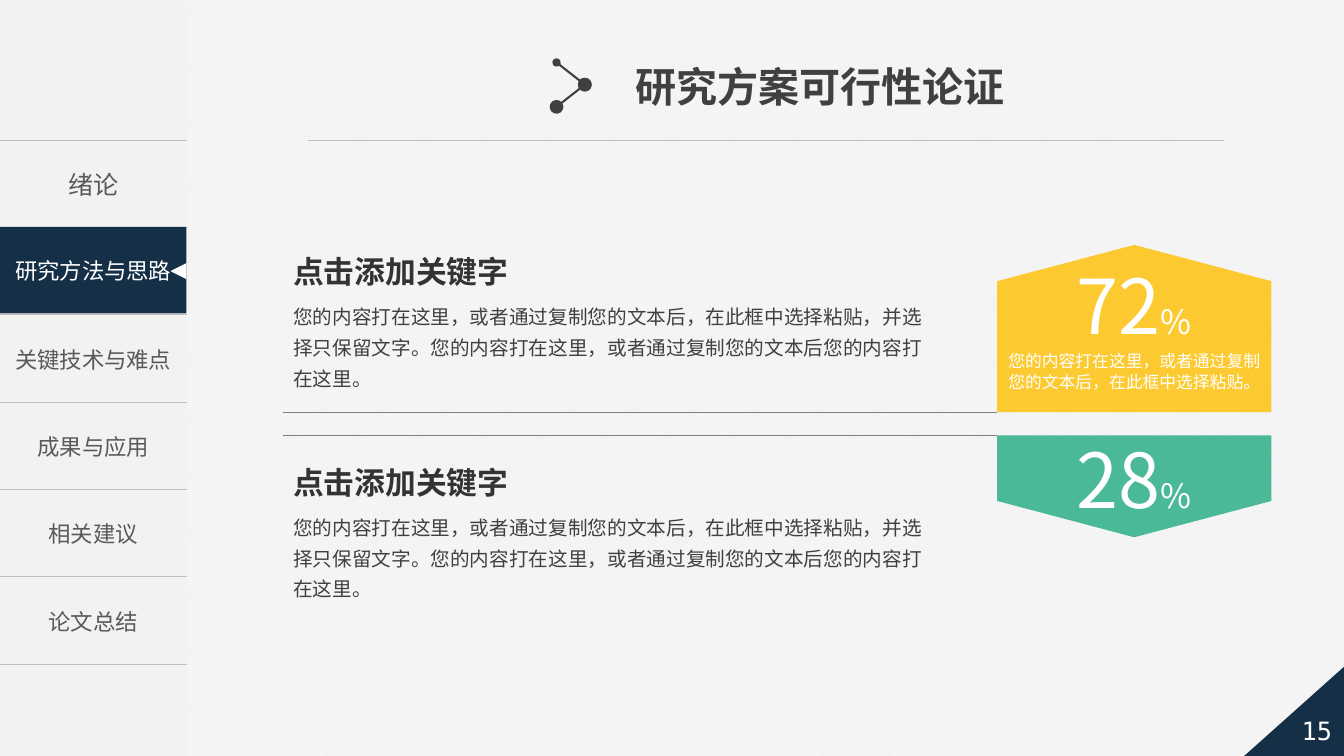
"""Build the feasibility slide with its chapter navigation and two percentage cards."""
from lxml import etree
from pptx import Presentation
from pptx.dml.color import RGBColor
from pptx.enum.dml import MSO_PATTERN
from pptx.enum.shapes import MSO_CONNECTOR, MSO_SHAPE
from pptx.enum.text import MSO_ANCHOR, MSO_AUTO_SIZE, PP_ALIGN
from pptx.oxml import parse_xml
from pptx.oxml.ns import nsdecls, qn
from pptx.util import Inches, Pt

NAVY = RGBColor(0x15, 0x2F, 0x47)
YELLOW = RGBColor(0xFF, 0xC0, 0x00)
GREEN = RGBColor(0x21, 0xAB, 0x82)
WHITE = RGBColor(0xFF, 0xFF, 0xFF)
PALE = RGBColor(0xF2, 0xF2, 0xF2)
SILVER = RGBColor(0xBF, 0xBF, 0xBF)
GRAY = RGBColor(0x80, 0x80, 0x80)
NAV_GRAY = RGBColor(0x59, 0x59, 0x59)
DARK = RGBColor(0x40, 0x40, 0x40)
HEADING = RGBColor(0x33, 0x33, 0x33)
SANS = "Noto Sans CJK SC"
CENTER, LEFT = PP_ALIGN.CENTER, PP_ALIGN.LEFT
TOP, MIDDLE = MSO_ANCHOR.TOP, MSO_ANCHOR.MIDDLE
RECTANGLE, TRIANGLE = MSO_SHAPE.RECTANGLE, MSO_SHAPE.ISOSCELES_TRIANGLE
RIGHT_TRIANGLE = MSO_SHAPE.RIGHT_TRIANGLE
STRAIGHT = MSO_CONNECTOR.STRAIGHT
NO_AUTOFIT = MSO_AUTO_SIZE.NONE
DIAGONAL = MSO_PATTERN.LIGHT_UPWARD_DIAGONAL


def style_paragraph(paragraph, size, color, align=LEFT, bold=False, name=SANS):
    paragraph.alignment = align
    font = paragraph.font
    font.size, font.bold, font.name = Pt(size), bold, name
    font.color.rgb = color
    latin = paragraph._p.pPr.find(qn("a:defRPr")).find(qn("a:latin"))
    latin.addnext(parse_xml(f'<a:ea {nsdecls("a")} typeface="{name}"/>'))


def add_flat_shape(kind, left, top, width, height, color):
    shape = slide.shapes.add_shape(
        kind, Inches(left), Inches(top), Inches(width), Inches(height))
    shape.shadow.inherit = False
    shape.fill.solid()
    shape.fill.fore_color.rgb = color
    shape.line.fill.background()
    return shape


prs = Presentation()
prs.slide_width, prs.slide_height = Inches(13.33), Inches(7.5)
slide = prs.slides.add_slide(prs.slide_layouts[5])
background = slide.background.fill
background.patterned()
background.pattern = DIAGONAL
background.fore_color.rgb, background.back_color.rgb = WHITE, PALE

title = slide.shapes.title
title.left, title.top = Inches(6.2), Inches(0.56)
title.width, title.height = Inches(4.05), Inches(0.59)
title.text_frame.text = "研究方案可行性论证"
title.text_frame.auto_size = NO_AUTOFIT
title.text_frame.vertical_anchor = MIDDLE
style_paragraph(title.text_frame.paragraphs[0], 29.3, DARK, bold=True, name="Arial")

NAV_WIDTH, NAV_TOP, NAV_HEIGHT = 1.85, 1.39, 5.2
chapters = ["绪论", "研究方法与思路", "关键技术与难点", "成果与应用", "相关建议", "论文总结"]
CURRENT = chapters[1]
add_flat_shape(RECTANGLE, 0, 0, NAV_WIDTH, 7.5, PALE)
navigation = slide.shapes.add_table(
    len(chapters), 1, 0, Inches(NAV_TOP), Inches(NAV_WIDTH), Inches(NAV_HEIGHT)).table
navigation.first_row = navigation.horz_banding = False
for row, chapter in enumerate(chapters):
    cell = navigation.cell(row, 0)
    cell.text = chapter
    cell.vertical_anchor = MIDDLE
    style_paragraph(cell.text_frame.paragraphs[0], 16 if row else 18, NAV_GRAY, CENTER)
    borders = cell._tc.get_or_add_tcPr()
    for side in ("lnL", "lnR", "lnT", "lnB"):
        border = etree.SubElement(borders, qn(f"a:{side}"), w=str(Pt(1)))
        if side in ("lnL", "lnR"):
            etree.SubElement(border, qn("a:noFill"))
        else:
            paint = etree.SubElement(border, qn("a:solidFill"))
            etree.SubElement(paint, qn("a:srgbClr"), val=str(SILVER))
    cell.fill.background()

highlight = add_flat_shape(RECTANGLE, 0, 2.25, NAV_WIDTH, 0.86, NAVY)
highlight.text_frame.text = CURRENT
highlight.text_frame.word_wrap = True
highlight.text_frame.vertical_anchor = MIDDLE
style_paragraph(highlight.text_frame.paragraphs[0], 16, WHITE, CENTER)
pointer = add_flat_shape(TRIANGLE, 1.69, 2.61, 0.16, 0.16, WHITE)
pointer.rotation = 270
corner = add_flat_shape(RIGHT_TRIANGLE, 12.33, 6.58, 1.04, 0.93, NAVY)
corner._element.spPr.find(qn("a:xfrm")).set("flipH", "1")

CARD_LEFT, CARD_RIGHT = 9.89, 12.61
CARD_MIDDLE = (CARD_LEFT + CARD_RIGHT) / 2
CARD_NOTE = "您的内容打在这里，或者通过复制您的文本后，在此框中选择粘贴。"
cards = [
    (4.09, 2.79, 2.43, 0.83, YELLOW, "72", CARD_NOTE),
    (4.32, 4.97, 5.33, 0.67, GREEN, "28", None),
]
for base, shoulder, peak, inset, color, number, note in cards:
    outline = slide.shapes.build_freeform(Inches(CARD_LEFT), Inches(base))
    outline.add_line_segments([(Inches(x), Inches(y)) for x, y in (
        (CARD_RIGHT, base), (CARD_RIGHT, shoulder),
        (CARD_MIDDLE, peak), (CARD_LEFT, shoulder))])
    card = outline.convert_to_shape()
    card.shadow.inherit = False
    card.fill.solid()
    card.fill.fore_color.rgb = color
    card.line.fill.background()
    tint = card._element.spPr.find(qn("a:solidFill")).find(qn("a:srgbClr"))
    etree.SubElement(tint, qn("a:alpha"), val="80000")
    frame = card.text_frame
    frame.word_wrap = True
    frame.vertical_anchor = TOP
    frame.margin_top = Inches(inset)
    share = frame.paragraphs[0]
    style_paragraph(share, 54, WHITE, CENTER)
    share.add_run().text = number
    percent = share.add_run()
    percent.text = "%"
    percent.font.size = Pt(24)
    if note:
        caption = frame.add_paragraph()
        caption.text = note
        style_paragraph(caption, 12, WHITE, CENTER)
    for paragraph in frame.paragraphs:
        paragraph.line_spacing = Pt(15)

lines = [
    (3.05, 1.39, 12.14, 1.39, SILVER, 0.5, False),
    (5.52, 0.62, 5.8, 0.84, DARK, 1.5, True),
    (5.8, 0.84, 5.52, 1.06, DARK, 1.5, True),
    (CARD_LEFT, 4.09, 2.81, 4.09, GRAY, 0.5, False),
    (CARD_LEFT, 4.32, 2.81, 4.32, GRAY, 0.5, False),
]
for x1, y1, x2, y2, color, weight, dotted in lines:
    rule = slide.shapes.add_connector(
        STRAIGHT, Inches(x1), Inches(y1), Inches(x2), Inches(y2))
    rule.line.color.rgb = color
    rule.line.width = Pt(weight)
    if dotted:
        stroke = rule.line._get_or_add_ln()
        # The larger dot marks the end of each branch.
        sizes = ("med", "lg") if y1 < 0.8 else ("lg", "lg")
        for end, size in zip(("headEnd", "tailEnd"), sizes):
            etree.SubElement(stroke, qn(f"a:{end}"), type="oval", w=size, len=size)
    etree.SubElement(rule._element.spPr, qn("a:effectLst"))

BODY = ("您的内容打在这里，或者通过复制您的文本后，在此框中选择粘贴，并选择只保留文字。"
        "您的内容打在这里，或者通过复制您的文本后您的内容打在这里。")
texts = [(12.59, 6.97, 0.94, 0.55, "15", 18, WHITE, CENTER, False, "DejaVu Sans Mono", 1)]
for top in (2.46, 4.55):
    texts += [
        (2.81, top, 3.05, 0.47, "点击添加关键字", 22, HEADING, LEFT, True, SANS, 1),
        (2.81, top + 0.45, 6.54, 1.02, BODY, 14, DARK, LEFT, False, SANS, 1.3),
    ]
for left, top, width, height, words, size, color, align, bold, name, spacing in texts:
    frame = slide.shapes.add_textbox(
        Inches(left), Inches(top), Inches(width), Inches(height)).text_frame
    frame.word_wrap = True
    frame.vertical_anchor = MIDDLE if words == "15" else TOP
    frame.text = words
    frame.paragraphs[0].line_spacing = spacing
    style_paragraph(frame.paragraphs[0], size, color, align, bold, name)

prs.save("out.pptx")
